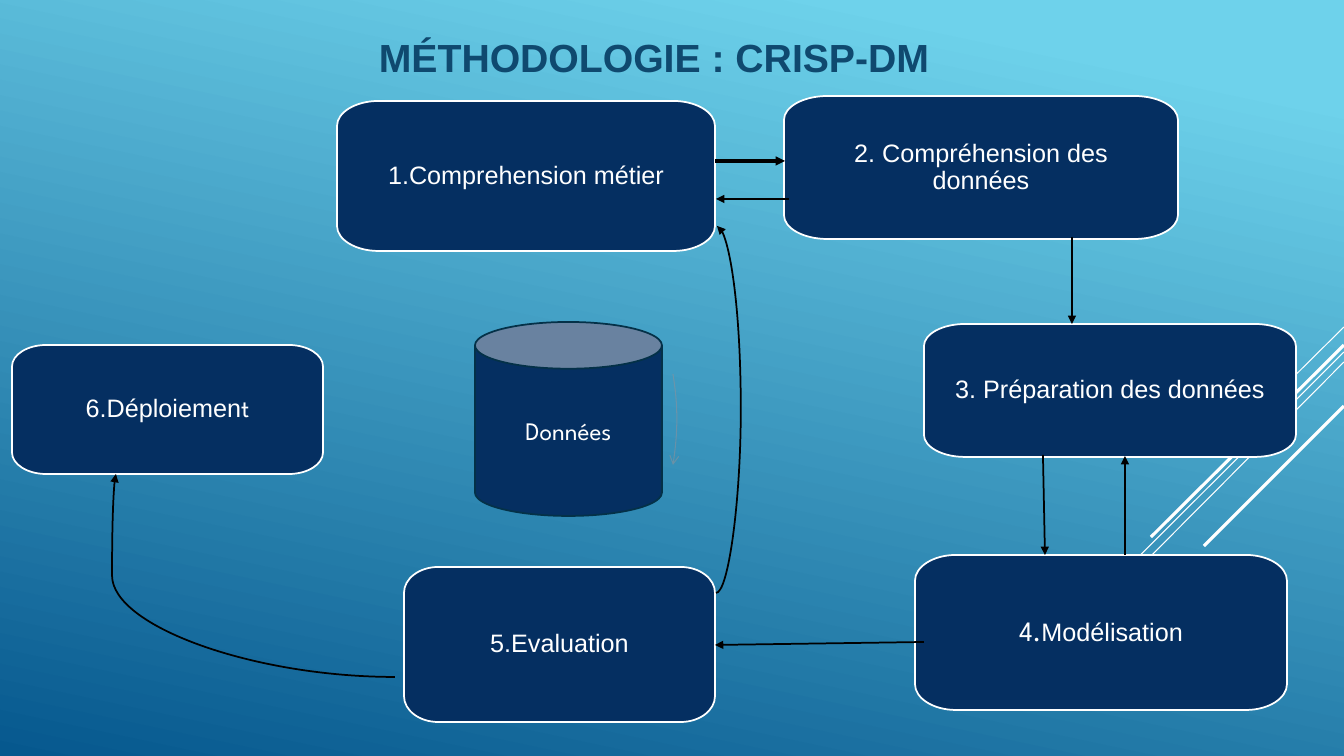
"""Build the CRISP-DM methodology slide."""
import lxml.etree
import pptx
import pptx.dml.color
import pptx.enum.shapes
import pptx.enum.text
import pptx.oxml.ns
import pptx.util

EMU_PER_PX = 914400 / 100.8
NAVY, WHITE, BLACK = "052F61", "FFFFFF", "000000"
SANS, DISPLAY = "Arial", "League Spartan"

DECOR_LINES = [
    (1344, 327, 1243, 427, 0.75),
    (1344, 352, 1015, 680, 0.75),
    (1344, 362, 1135, 572, 0.75),
    (1344, 345, 1151, 537, 2.25),
    (1344, 406, 1204, 546, 2.25),
]
STEPS = [
    ((337, 101, 378, 150), [("1.Comprehension métier", SANS, 18)]),
    ((784, 96, 394, 143), [("2. Compréhension des données", SANS, 18)]),
    ((924, 324, 372, 133), [("3. Préparation des données", SANS, 18)]),
    ((915, 555, 372, 155), [("4.", DISPLAY, 20), ("Modélisation", SANS, 18)]),
    ((404, 567, 311, 155), [("5.Evaluation", SANS, 18)]),
    ((12, 345, 311, 129), [("6.Déploiemen", SANS, 18), ("t", DISPLAY, 18)]),
]
STRAIGHT_ARROWS = [
    (715, 161, 785, 161, 2.25),
    (789, 199, 716, 199, 1.25),
    (1072, 237, 1072, 324, 1.25),
    (1043, 455, 1045, 555, 1.25),
    (1125, 555, 1125, 456, 1.25),
    (924, 642, 715, 645, 1.25),
]
CURVED_ARROWS = [
    (716, 593, 717, 226, 741),
    (395, 677, 116, 474, 112),
]


def emu(px):
    """Turn a length in px into EMU."""
    return pptx.util.Emu(round(px * EMU_PER_PX))


def rgb(value):
    """Turn a hex string into a colour."""
    return pptx.dml.color.RGBColor.from_string(value)


def add_xml(parent, tag, **attributes):
    """Append a DrawingML element to its parent."""
    return lxml.etree.SubElement(parent, pptx.oxml.ns.qn(tag), attributes)


def set_line(shape, colour, width, arrowhead=None):
    """Give an outline its colour, width and optional arrowhead."""
    shape.line.color.rgb = rgb(colour)
    shape.line.width = pptx.util.Pt(width)
    if arrowhead:
        add_xml(shape.line._get_or_add_ln(), "a:tailEnd", type=arrowhead)


def set_text(shape, runs, colour=WHITE, bold=False, inset=None, spacing=None):
    """Write one centred paragraph of (text, font, size) runs."""
    frame = shape.text_frame
    frame.word_wrap = True
    frame.vertical_anchor = pptx.enum.text.MSO_ANCHOR.MIDDLE
    if inset is not None:
        frame.margin_left = frame.margin_right = emu(inset)
        frame.margin_top = frame.margin_bottom = emu(inset)
    paragraph = frame.paragraphs[0]
    paragraph.alignment = pptx.enum.text.PP_ALIGN.CENTER
    paragraph.line_spacing = spacing
    for text, font, size in runs:
        run = paragraph.add_run()
        run.text = text
        run.font.name = font
        run.font.size = pptx.util.Pt(size)
        run.font.bold = bold
        run.font.color.rgb = rgb(colour)


def add_outline(slide, bounds, segments):
    """Draw a freeform of (tag, points) segments local to its bounds."""
    left, top, width, height = map(emu, bounds)
    builder = slide.shapes.build_freeform(left, top, scale=1.0)
    builder.add_line_segments([(left + width, top + height)], close=False)
    shape = builder.convert_to_shape()
    shape.shadow.inherit = False
    outline = shape._element.find(".//" + pptx.oxml.ns.qn("a:path"))
    for child in list(outline):
        outline.remove(child)
    for tag, points in segments:
        segment = add_xml(outline, tag)
        for x, y in points:
            add_xml(segment, "a:pt", x=str(emu(x)), y=str(emu(y)))
    return shape


def add_step(slide, bounds, runs):
    """Draw a step box with elliptical corners."""
    width, height = bounds[2:]
    x, y = 0.11 * width, height / 6
    pull_x, pull_y = 0.45 * x, 0.45 * y
    right, bottom = width - x, height - y
    shape = add_outline(slide, bounds, [
        ("a:moveTo", [(0, y)]),
        ("a:cubicBezTo", [(0, pull_y), (pull_x, 0), (x, 0)]),
        ("a:lnTo", [(right, 0)]),
        ("a:cubicBezTo", [(width - pull_x, 0), (width, pull_y), (width, y)]),
        ("a:lnTo", [(width, bottom)]),
        ("a:cubicBezTo", [(width, height - pull_y), (width - pull_x, height), (right, height)]),
        ("a:lnTo", [(x, height)]),
        ("a:cubicBezTo", [(pull_x, height), (0, height - pull_y), (0, bottom)]),
        ("a:lnTo", [(0, y)]),
        ("a:close", []),
    ])
    shape.fill.solid()
    shape.fill.fore_color.rgb = rgb(NAVY)
    set_line(shape, WHITE, 1.25)
    set_text(shape, runs, inset=20, spacing=0.9)


def add_line(slide, ends, colour, width, arrowhead=None, bend=None):
    """Connect two points, curving by way of x = bend if given."""
    kinds = pptx.enum.shapes.MSO_CONNECTOR
    kind = kinds.STRAIGHT if bend is None else kinds.CURVE
    line = slide.shapes.add_connector(kind, *map(emu, ends))
    set_line(line, colour, width, arrowhead)
    properties = line._element.spPr
    add_xml(properties, "a:effectLst")
    if bend is not None:
        ratio = (bend - ends[0]) / (ends[2] - ends[0])
        guides = properties.prstGeom.get_or_add_avLst()
        add_xml(guides, "a:gd", name="adj1", fmla=f"val {round(ratio * 100000)}")


def add_faint_arc(slide):
    """Draw the translucent arc beside the data store."""
    shape = add_outline(slide, (161, 161, 955, 516), [
        ("a:moveTo", [(512, 213)]),
        ("a:cubicBezTo", [(517, 243), (517, 273), (512, 304)]),
    ])
    shape.fill.background()
    set_line(shape, "89919C", 0.75, "arrow")
    colour = shape.line._get_or_add_ln().find(".//" + pptx.oxml.ns.qn("a:srgbClr"))
    add_xml(colour, "a:alpha", val="60000")


def add_data_store(slide):
    """Draw the central data cylinder."""
    can = slide.shapes.add_shape(
        pptx.enum.shapes.MSO_SHAPE.CAN, *map(emu, (475, 322, 187, 194)))
    can.shadow.inherit = False
    can.fill.solid()
    can.fill.fore_color.rgb = rgb(NAVY)
    set_line(can, "043148", 1.25)
    set_text(can, [("Données", DISPLAY, 18)])


def set_background(slide):
    """Fill the slide with the blue gradient."""
    fill = slide.background.fill
    fill.gradient()
    fill.gradient_angle = 258
    stops = [(0.1, "6ED2EB"), (1, "06588E")]
    for stop, (position, colour) in zip(fill.gradient_stops, stops):
        stop.position = position
        stop.color.rgb = rgb(colour)


def main():
    """Compose and save the slide."""
    presentation = pptx.Presentation()
    presentation.slide_width, presentation.slide_height = emu(1344), emu(756)
    slide = presentation.slides.add_slide(presentation.slide_layouts[6])
    set_background(slide)
    for *ends, width in DECOR_LINES:
        add_line(slide, ends, WHITE, width)
    title = slide.shapes.add_textbox(*map(emu, (289, 18, 730, 77)))
    set_text(title, [("MÉTHODOLOGIE : CRISP-DM", SANS, 28)], "0F496F", True)
    add_faint_arc(slide)
    for bounds, runs in STEPS:
        add_step(slide, bounds, runs)
    add_data_store(slide)
    for *ends, width in STRAIGHT_ARROWS:
        add_line(slide, ends, BLACK, width, "triangle")
    for *ends, bend in CURVED_ARROWS:
        add_line(slide, ends, BLACK, 1.25, "triangle", bend)
    presentation.save("out.pptx")


if __name__ == "__main__":
    main()
